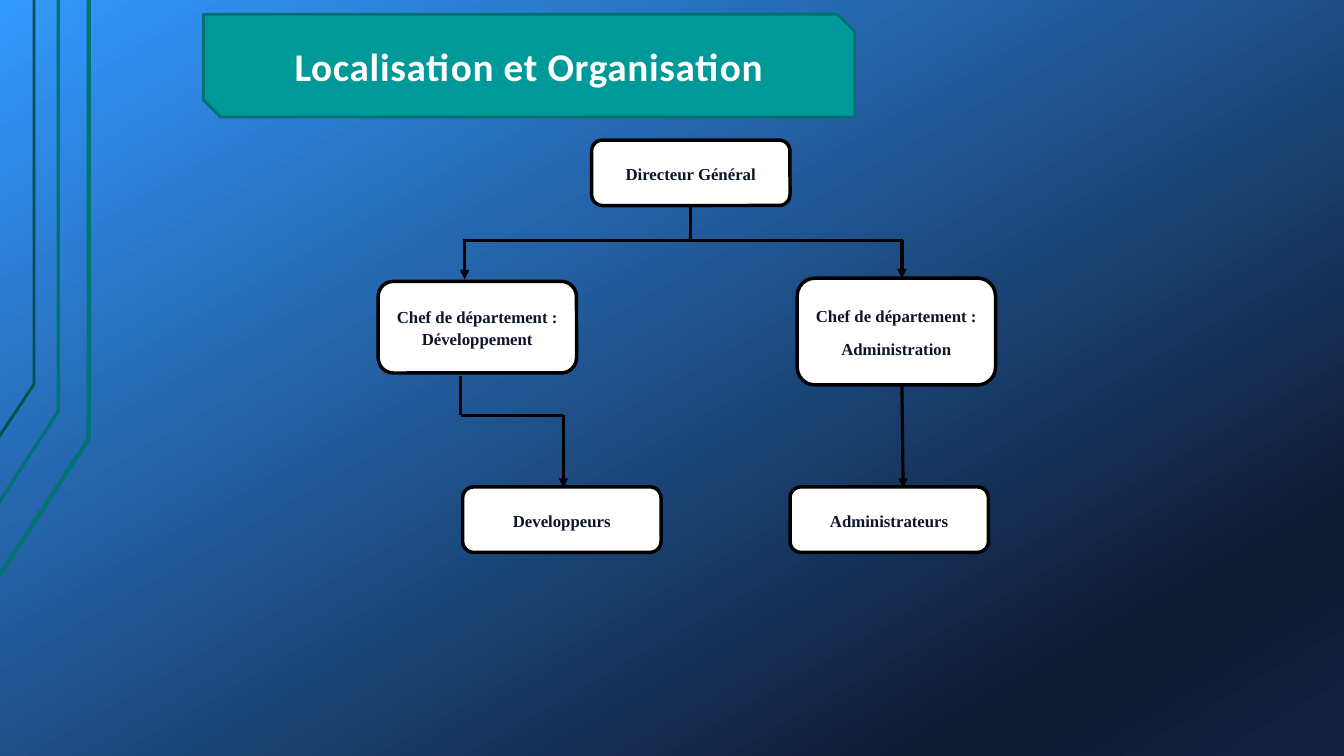
from copy import deepcopy
from typing import NamedTuple

from lxml import etree
from pptx import Presentation
from pptx.dml.color import RGBColor
from pptx.enum.shapes import MSO_CONNECTOR, MSO_SHAPE
from pptx.enum.text import MSO_ANCHOR, PP_ALIGN
from pptx.oxml.ns import qn
from pptx.util import Cm, Pt

ROUNDED = MSO_SHAPE.ROUNDED_RECTANGLE
SNIPPED = MSO_SHAPE.SNIP_2_DIAG_RECTANGLE
STRAIGHT = MSO_CONNECTOR.STRAIGHT
MIDDLE = MSO_ANCHOR.MIDDLE
CENTER = PP_ALIGN.CENTER

BLACK = "000000"
WHITE = "FFFFFF"
INK = "0C1529"
TEAL = "007373"


class Role(NamedTuple):
    left: float
    top: float
    height: float
    lines: tuple[str, ...]


class Link(NamedTuple):
    start: tuple[float, float]
    end: tuple[float, float]
    arrow: bool = False


class Stripe(NamedTuple):
    foot: float
    bend: tuple[float, float]
    width: float
    color: str


class TextStyle(NamedTuple):
    font: str
    size: float
    color: str
    line_spacing: float = 1.0
    tracking: int = 0


ROLE_WIDTH = 5
ROLE_STYLE = TextStyle("Times New Roman", 12, INK, line_spacing=1.07)
TITLE_STYLE = TextStyle("Calibri", 28, WHITE, tracking=50)

BACKGROUND_STOPS = [(0, "3399FF"), (0.85, "0F1931"), (1, "142242")]

STRIPES = [
    Stripe(14.53, (2.24, 11.05), 3, TEAL),
    Stripe(12.67, (1.47, 10.36), 2.25, TEAL),
    Stripe(11.02, (0.86, 9.68), 2, "005050"),
]

ROLES = [
    Role(14.91, 3.53, 1.65, ("Directeur Général",)),
    Role(9.53, 7.09, 2.31, ("Chef de département : Développement",)),
    Role(20.09, 7.01, 2.69, ("Chef de département :", "Administration")),
    Role(11.66, 12.27, 1.65, ("Developpeurs",)),
    Role(19.91, 12.27, 1.65, ("Administrateurs",)),
]

LINKS = [
    Link((17.4, 5.18), (17.4, 6.05)),
    Link((11.66, 6.05), (22.76, 6.05)),
    Link((11.71, 6.05), (11.71, 7.04), arrow=True),
    Link((22.73, 6.05), (22.73, 7.01), arrow=True),
    Link((11.61, 9.47), (11.61, 10.46)),
    Link((11.61, 10.46), (14.2, 10.46)),
    Link((14.2, 10.46), (14.2, 12.29), arrow=True),
    Link((22.73, 9.7), (22.76, 12.29), arrow=True),
]


def rgb(color: str) -> RGBColor:
    return RGBColor.from_string(color)


def set_line(shape, color: str, width: float) -> None:
    shape.line.color.rgb = rgb(color)
    shape.line.width = Pt(width)


def paint_background(page) -> None:
    fill = page.background.fill
    fill.gradient()
    fill.gradient_angle = 300
    stop_list = next(page.element.iter(qn("a:gsLst")))
    stop_list.append(deepcopy(stop_list[-1]))
    for stop, (position, color) in zip(fill.gradient_stops, BACKGROUND_STOPS):
        stop.position = position
        stop.color.rgb = rgb(color)


def draw_stripe(page, stripe: Stripe) -> None:
    bend_x, bend_y = stripe.bend
    builder = page.shapes.build_freeform(Cm(-0.03), Cm(stripe.foot))
    builder.add_line_segments(
        [(Cm(bend_x), Cm(bend_y)), (Cm(bend_x), Cm(0))], close=False
    )
    shape = builder.convert_to_shape()
    shape.shadow.inherit = False
    shape.fill.background()
    set_line(shape, stripe.color, stripe.width)


def add_box(page, kind, bounds: tuple[float, ...], fill: str, line: str, width: float):
    box = page.shapes.add_shape(kind, *map(Cm, bounds))
    box.shadow.inherit = False
    box.fill.solid()
    box.fill.fore_color.rgb = rgb(fill)
    set_line(box, line, width)
    return box


def write(box, lines: tuple[str, ...], style: TextStyle) -> None:
    frame = box.text_frame
    frame.word_wrap = True
    frame.vertical_anchor = MIDDLE
    for index, line in enumerate(lines):
        para = frame.add_paragraph() if index else frame.paragraphs[0]
        para.alignment = CENTER
        para.line_spacing = style.line_spacing
        para.space_before = Pt(8 if index else 0)
        span = para.add_run()
        span.text = line
        span.font.name = style.font
        span.font.size = Pt(style.size)
        span.font.bold = True
        span.font.color.rgb = rgb(style.color)
        if style.tracking:
            span.font._element.set("spc", str(style.tracking))


def draw_title(page) -> None:
    box = add_box(page, SNIPPED, (5.13, 0.36, 16.41, 2.59), "009999", "007171", 2)
    write(box, ("Localisation et Organisation",), TITLE_STYLE)


def draw_role(page, role: Role) -> None:
    bounds = (role.left, role.top, ROLE_WIDTH, role.height)
    box = add_box(page, ROUNDED, bounds, WHITE, BLACK, 2.5)
    write(box, role.lines, ROLE_STYLE)


def draw_link(page, link: Link) -> None:
    connector = page.shapes.add_connector(STRAIGHT, *map(Cm, link.start + link.end))
    set_line(connector, BLACK, 2.25)
    properties = connector.element.spPr
    etree.SubElement(properties, qn("a:effectLst"))
    if link.arrow:
        outline = properties.find(qn("a:ln"))
        etree.SubElement(outline, qn("a:tailEnd"), type="triangle")


def main() -> None:
    deck = Presentation()
    deck.slide_width = Cm(33.87)
    deck.slide_height = Cm(19.05)
    page = deck.slides.add_slide(deck.slide_layouts[6])
    paint_background(page)
    for stripe in STRIPES:
        draw_stripe(page, stripe)
    draw_title(page)
    for role in ROLES:
        draw_role(page, role)
    for link in LINKS:
        draw_link(page, link)
    deck.save("out.pptx")


if __name__ == "__main__":
    main()
